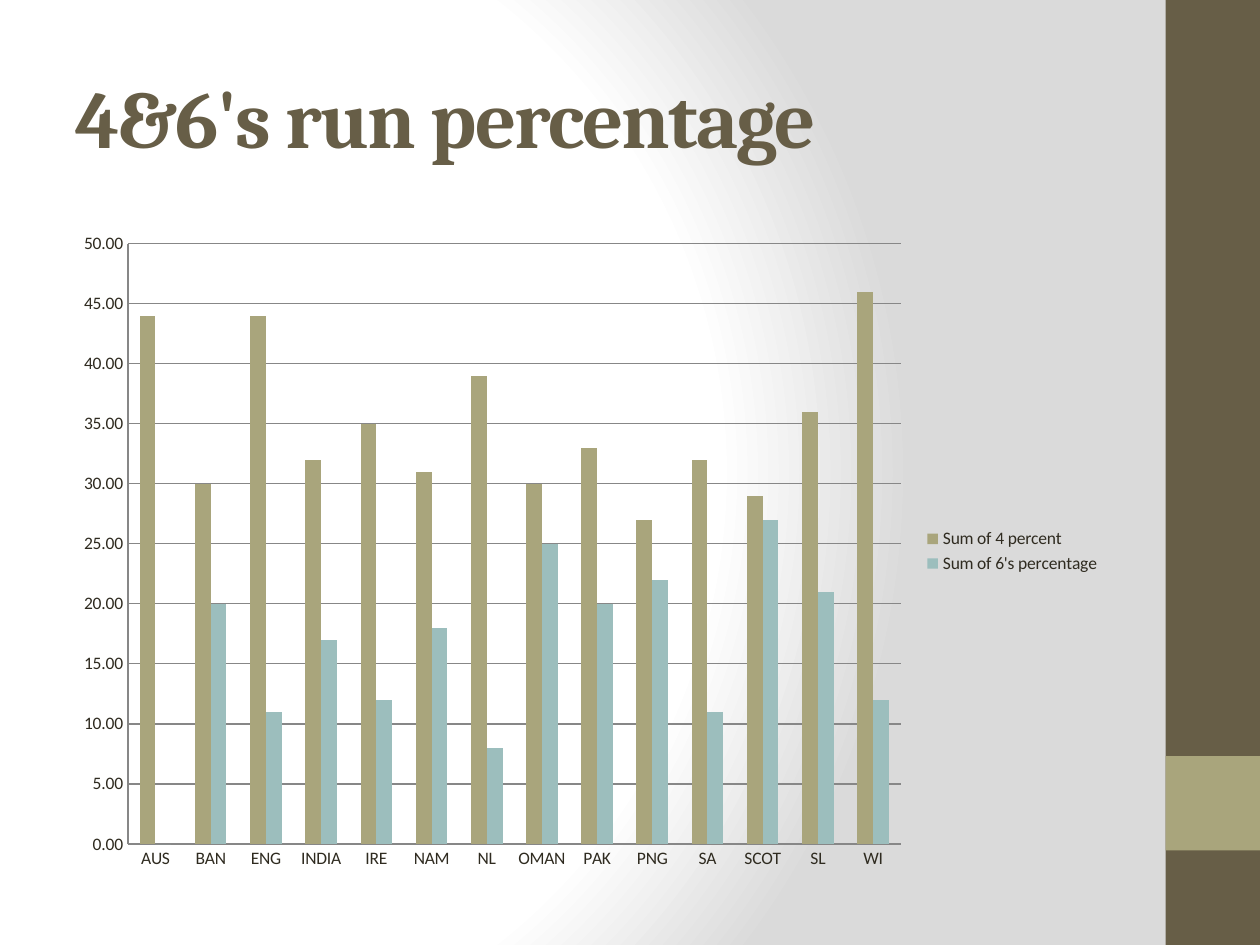
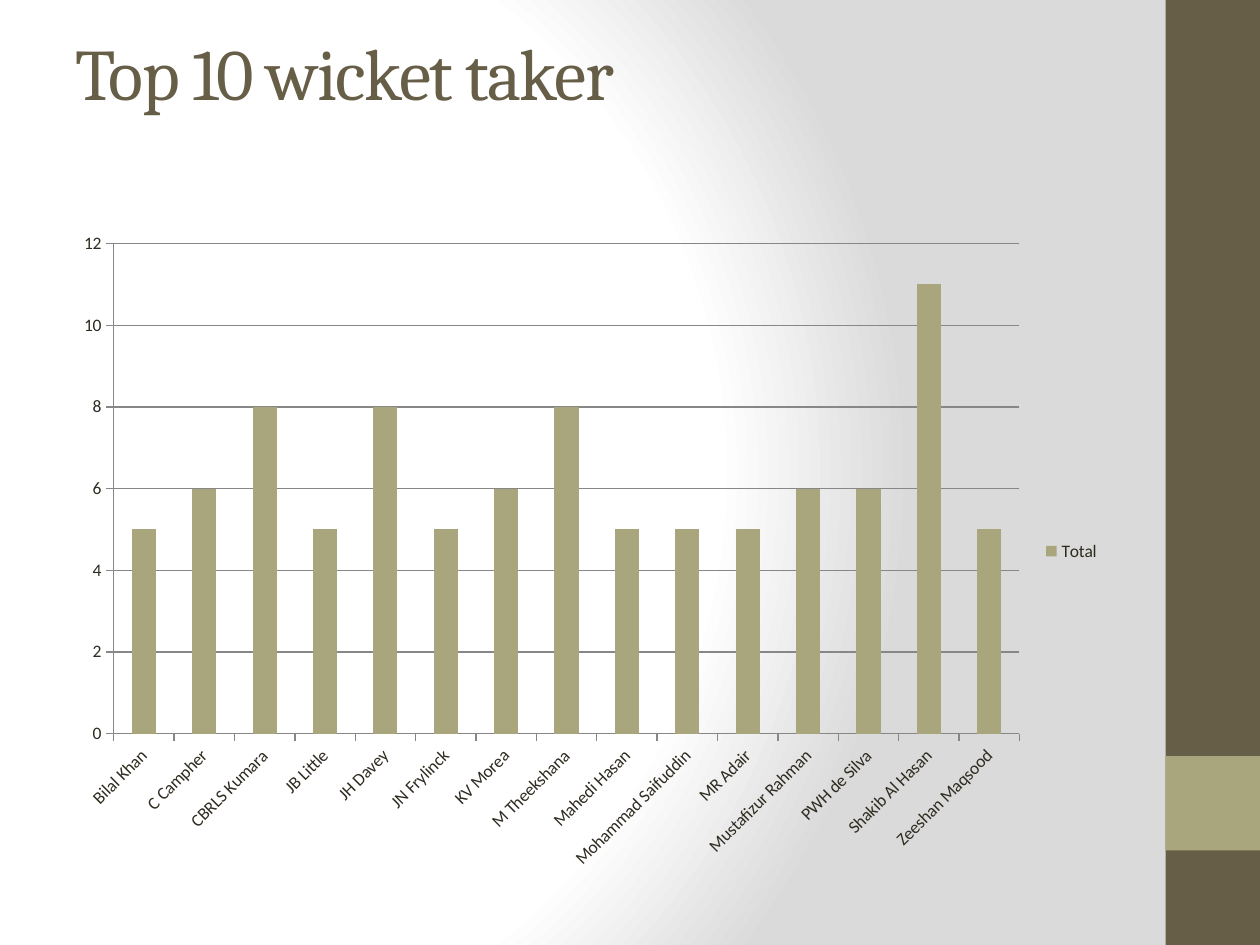
from dataclasses import dataclass

from pptx import Presentation
from pptx.chart.data import CategoryChartData
from pptx.dml.color import RGBColor
from pptx.enum.chart import XL_CHART_TYPE, XL_LEGEND_POSITION, XL_TICK_MARK
from pptx.enum.shapes import MSO_SHAPE
from pptx.enum.text import MSO_ANCHOR
from pptx.oxml import parse_xml
from pptx.oxml.ns import nsdecls
from pptx.slide import Slide
from pptx.util import Inches, Pt

WIDE, HIGH = Inches(10), Inches(7.5)
BROWN = RGBColor(0x67, 0x5E, 0x47)
OLIVE = RGBColor(0xA9, 0xA5, 0x7C)
TEAL = RGBColor(0x9C, 0xBE, 0xBD)
INK = RGBColor(0x2F, 0x2B, 0x20)
RULE = RGBColor(0x87, 0x87, 0x87)
WHITE = RGBColor(0xFF, 0xFF, 0xFF)
GREY = RGBColor(0xDA, 0xDA, 0xDA)
HEAD_FONT, BODY_FONT = "Cambria", "Calibri"
STOPS = ((0, WHITE), (75, WHITE), (100, GREY))


@dataclass(frozen=True)
class Box:
    """A frame in shares of the slide's width and height."""
    left: float
    top: float
    width: float
    height: float

    def frame(self) -> tuple[int, int, int, int]:
        return (int(self.left * WIDE), int(self.top * HIGH),
                int(self.width * WIDE), int(self.height * HIGH))


@dataclass(frozen=True)
class Band:
    box: Box
    fill: RGBColor


@dataclass(frozen=True)
class Series:
    name: str
    fill: RGBColor
    values: tuple[int, ...]


@dataclass(frozen=True)
class Head:
    text: str
    size: float
    bold: bool
    anchor: MSO_ANCHOR
    inset: float
    pitch: float


@dataclass(frozen=True)
class Page:
    head: Head
    labels: tuple[str, ...]
    series: tuple[Series, ...]
    format: str
    tick: XL_TICK_MARK
    turn: int


BANDS = (
    Band(Box(0.925, 0, 0.075, 1), BROWN),
    Band(Box(0.925, 0.8, 0.075, 0.1), OLIVE),
)
HEAD_BOX = Box(0.05, 0.04, 5 / 6, 1 / 6)
CHART_BOX = Box(0.05, 7 / 30, 5 / 6, 0.7)

PAGES = (
    Page(
        Head("4&6's run percentage", 46, True, MSO_ANCHOR.MIDDLE, 0.05, 1.0),
        ("AUS", "BAN", "ENG", "INDIA", "IRE", "NAM", "NL",
         "OMAN", "PAK", "PNG", "SA", "SCOT", "SL", "WI"),
        (Series("Sum of 4 percent", OLIVE,
                (44, 30, 44, 32, 35, 31, 39, 30, 33, 27, 32, 29, 36, 46)),
         Series("Sum of 6's percentage", TEAL,
                (0, 20, 11, 17, 12, 18, 8, 25, 20, 22, 11, 27, 21, 12))),
        "0.00", XL_TICK_MARK.NONE, 0,
    ),
    Page(
        Head("Top 10 wicket taker", 41.4, False, MSO_ANCHOR.TOP, 0, 0.9),
        ("Bilal Khan", "C Campher", "CBRLS Kumara", "JB Little", "JH Davey",
         "JN Frylinck", "KV Morea", "M Theekshana", "Mahedi Hasan",
         "Mohammad Saifuddin", "MR Adair", "Mustafizur Rahman",
         "PWH de Silva", "Shakib Al Hasan", "Zeeshan Maqsood"),
        (Series("Total", OLIVE,
                (5, 6, 8, 5, 8, 5, 6, 8, 5, 5, 5, 6, 6, 11, 5)),),
        "General", XL_TICK_MARK.OUTSIDE, -45,
    ),
)


def paint_back(slide: Slide) -> None:
    """Give the slide its round gradient."""
    slide.background.fill.solid()
    stops = "".join(
        f'<a:gs pos="{share * 1000}"><a:srgbClr val="{tint}"/></a:gs>'
        for share, tint in STOPS)
    glow = parse_xml(
        f'<a:gradFill {nsdecls("a")} rotWithShape="1"><a:gsLst>{stops}</a:gsLst>'
        '<a:path path="circle"><a:fillToRect l="20000" t="50000"'
        ' r="100000" b="50000"/></a:path></a:gradFill>')
    solid = slide.element.xpath("p:cSld/p:bg/p:bgPr/a:solidFill")[0]
    solid.getparent().replace(solid, glow)


def draw_band(slide: Slide, band: Band) -> None:
    shape = slide.shapes.add_shape(MSO_SHAPE.RECTANGLE, *band.box.frame())
    shape.shadow.inherit = False
    shape.fill.solid()
    shape.fill.fore_color.rgb = band.fill
    shape.line.fill.background()


def draw_head(slide: Slide, head: Head) -> None:
    text = slide.shapes.add_textbox(*HEAD_BOX.frame()).text_frame
    text.word_wrap = True
    text.vertical_anchor = head.anchor
    text.margin_top = text.margin_bottom = Inches(head.inset)
    text.text = head.text
    line = text.paragraphs[0]
    line.line_spacing = head.pitch
    font = line.runs[0].font
    font.name, font.size, font.bold = HEAD_FONT, Pt(head.size), head.bold
    font.color.rgb = BROWN
    font._element.set("spc", "-100")


def draw_chart(slide: Slide, page: Page) -> None:
    data = CategoryChartData(number_format=page.format)
    data.categories = page.labels
    for series in page.series:
        data.add_series(series.name, series.values)
    chart = slide.shapes.add_chart(
        XL_CHART_TYPE.COLUMN_CLUSTERED, *CHART_BOX.frame(), data).chart
    chart.has_title = False
    chart.font.name, chart.font.size = BODY_FONT, Pt(10)
    chart.font.color.rgb = INK
    chart.has_legend = True
    chart.legend.position = XL_LEGEND_POSITION.RIGHT
    chart.legend.include_in_layout = False

    plot = chart.plots[0]
    plot.gap_width, plot.overlap, plot.vary_by_categories = 150, 0, False
    for bars, series in zip(plot.series, page.series):
        bars.format.fill.solid()
        bars.format.fill.fore_color.rgb = series.fill

    across, upright = chart.category_axis, chart.value_axis
    upright.has_major_gridlines = True
    upright.tick_labels.number_format = page.format
    upright.tick_labels.number_format_is_linked = False
    for axis in (across, upright):
        axis.major_tick_mark = page.tick
        axis.minor_tick_mark = XL_TICK_MARK.NONE
    for part in (across, upright, upright.major_gridlines):
        part.format.line.color.rgb = RULE
        part.format.line.width = Pt(0.75)
    if page.turn:
        across.tick_labels.font.size = Pt(10)
        body = across._element.xpath("c:txPr/a:bodyPr")[0]
        body.set("rot", str(page.turn * 60000))


def main() -> None:
    deck = Presentation()
    deck.slide_width, deck.slide_height = WIDE, HIGH
    for page in PAGES:
        slide = deck.slides.add_slide(deck.slide_layouts[6])
        paint_back(slide)
        for band in BANDS:
            draw_band(slide, band)
        draw_head(slide, page.head)
        draw_chart(slide, page)
    deck.save("out.pptx")


if __name__ == "__main__":
    main()
